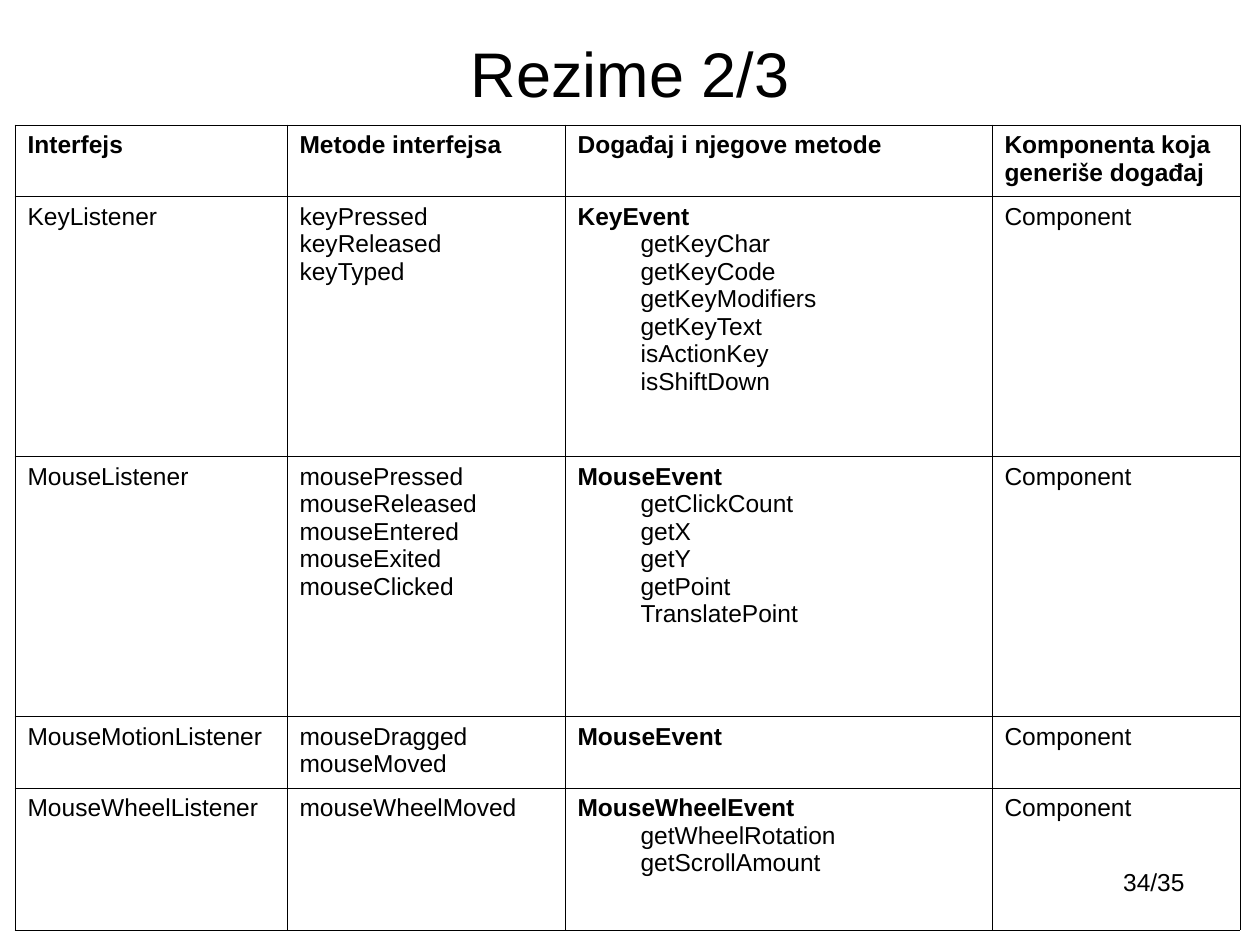
from lxml import etree
from pptx import Presentation
from pptx.dml.color import RGBColor
from pptx.enum.text import MSO_ANCHOR, PP_ALIGN
from pptx.oxml.ns import qn
from pptx.util import Pt

PX = 914400 // 126
CENTER, RIGHT = PP_ALIGN.CENTER, PP_ALIGN.RIGHT
TOP, MIDDLE = MSO_ANCHOR.TOP, MSO_ANCHOR.MIDDLE
COLORS = {"text": "000000", "border": "000000"}
FONT, NARROW_FONT = "Arial", "Arial Narrow"
BORDER_WIDTH = Pt(0.45)
COLUMN_WIDTHS = [272, 278, 427, 248]
ROW_HEIGHTS = [71, 260, 260, 71, 142]
EVENT_INDENT = (48, -48)
METHOD_INDENT = (102, -39)

HEADERS = ["Interfejs", "Metode interfejsa", "Događaj i njegove metode",
           "Komponenta koja generiše događaj"]
LISTENERS = [
    ("KeyListener", ["keyPressed", "keyReleased", "keyTyped"],
     "KeyEvent", ["getKeyChar", "getKeyCode", "getKeyModifiers",
                  "getKeyText", "isActionKey", "isShiftDown"]),
    ("MouseListener", ["mousePressed", "mouseReleased", "mouseEntered",
                       "mouseExited", "mouseClicked"],
     "MouseEvent", ["getClickCount", "getX", "getY", "getPoint",
                    "TranslatePoint"]),
    ("MouseMotionListener", ["mouseDragged", "mouseMoved"],
     "MouseEvent", []),
    ("MouseWheelListener", ["mouseWheelMoved"],
     "MouseWheelEvent", ["getWheelRotation", "getScrollAmount"]),
]


def px(length):
    return length * PX


def style_font(font, size, bold=False):
    font.name = FONT
    font.size = Pt(size)
    font.bold = bold
    font.color.rgb = RGBColor.from_string(COLORS["text"])


def add_label(slide, text, box, size, align, anchor):
    label = slide.shapes.add_textbox(*map(px, box))
    frame = label.text_frame
    frame.word_wrap = True
    frame.vertical_anchor = anchor
    paragraph = frame.paragraphs[0]
    paragraph.text = text
    paragraph.alignment = align
    style_font(paragraph.font, size)


def indent_paragraph(paragraph, margin, first_line):
    properties = paragraph._p.get_or_add_pPr()
    properties.set("marL", str(px(margin)))
    properties.set("indent", str(px(first_line)))


def draw_borders(cell):
    properties = cell._tc.get_or_add_tcPr()
    for position, side in enumerate(("lnL", "lnR", "lnT", "lnB")):
        line = etree.Element(qn(f"a:{side}"), w=str(BORDER_WIDTH))
        fill = etree.SubElement(line, qn("a:solidFill"))
        etree.SubElement(fill, qn("a:srgbClr"), val=COLORS["border"])
        properties.insert(position, line)


def write_lines(cell, lines, bold_first=False, indented=True):
    frame = cell.text_frame
    for index, text in enumerate(lines):
        paragraph = frame.add_paragraph() if index else frame.paragraphs[0]
        paragraph.text = text
        is_method = bold_first and index > 0
        style_font(paragraph.font, 14, bold_first and index == 0)
        if is_method:
            paragraph.level = 1
        if indented:
            indent_paragraph(paragraph, *(METHOD_INDENT if is_method else EVENT_INDENT))


def narrow_letter(paragraph, letter):
    before, after = paragraph.text.split(letter)
    paragraph.clear()
    for text, font_name in ((before, FONT), (letter, NARROW_FONT), (after, FONT)):
        run = paragraph.add_run()
        run.text = text
        run.font.name = font_name


def add_listener_table(slide):
    table = slide.shapes.add_table(
        len(ROW_HEIGHTS), len(COLUMN_WIDTHS), px(15), px(125),
        px(sum(COLUMN_WIDTHS)), px(sum(ROW_HEIGHTS))).table
    table.first_row = False
    table.horz_banding = False
    for column, width in zip(table.columns, COLUMN_WIDTHS):
        column.width = px(width)
    for row, height in zip(table.rows, ROW_HEIGHTS):
        row.height = px(height)
    for cell in table.iter_cells():
        cell.fill.background()
        draw_borders(cell)

    for column, header in enumerate(HEADERS):
        write_lines(table.cell(0, column), [header], bold_first=True, indented=False)
    narrow_letter(table.cell(0, 3).text_frame.paragraphs[0], "š")

    for row, (listener, callbacks, event, methods) in enumerate(LISTENERS, 1):
        write_lines(table.cell(row, 0), [listener])
        write_lines(table.cell(row, 1), callbacks)
        write_lines(table.cell(row, 2), [event, *methods], bold_first=True)
        write_lines(table.cell(row, 3), ["Component"])


def main():
    presentation = Presentation()
    presentation.slide_width = px(1260)
    presentation.slide_height = px(945)
    slide = presentation.slides.add_slide(presentation.slide_layouts[6])
    add_label(slide, "34/35", (903, 861, 294, 66), 14, RIGHT, TOP)
    add_label(slide, "Rezime 2/3", (63, 38, 1134, 68), 36, CENTER, MIDDLE)
    add_listener_table(slide)
    presentation.save("out.pptx")


if __name__ == "__main__":
    main()
